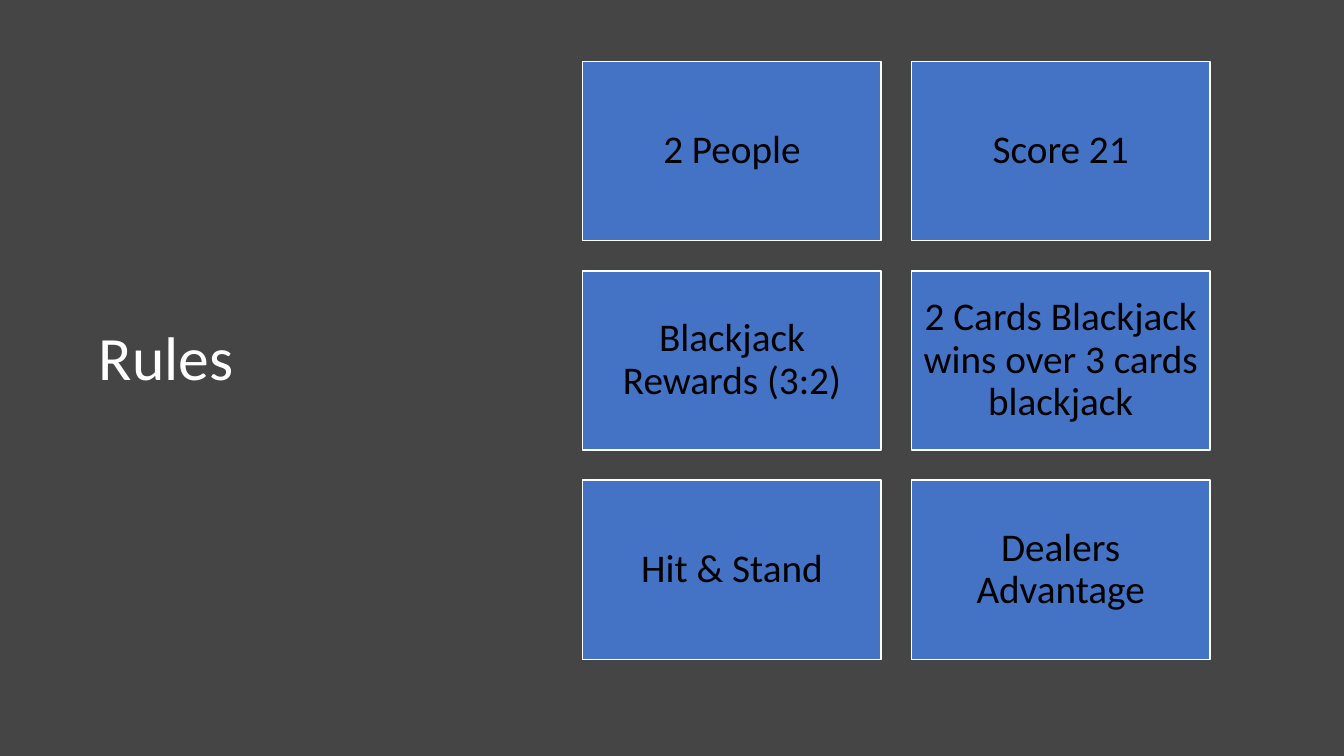
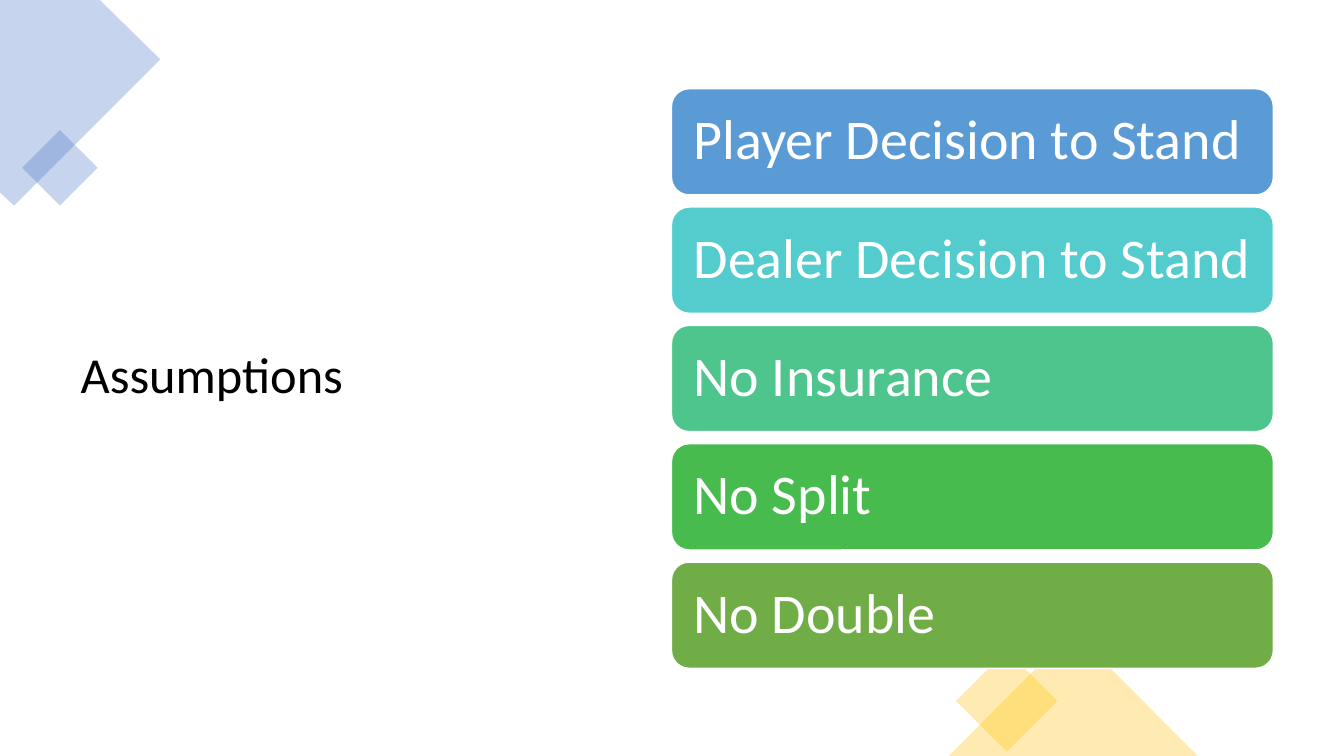
"""Build the two blackjack slides: the rules and the assumptions."""
import dataclasses
import typing

import lxml.etree
import pptx
import pptx.dml.color
import pptx.enum.shapes
import pptx.enum.text
import pptx.oxml.ns
import pptx.presentation
import pptx.shapes.autoshape
import pptx.slide
import pptx.text.text
import pptx.util

Inches = pptx.util.Inches
Shape = pptx.shapes.autoshape.Shape
Slide = pptx.slide.Slide
Align = pptx.enum.text.PP_ALIGN
Preset = pptx.enum.shapes.MSO_SHAPE


@dataclasses.dataclass(frozen=True)
class Theme:
    """Colours, type sizes and line settings shared by the slides."""

    font: str = "Calibri"
    white: str = "FFFFFF"
    black: str = "000000"
    charcoal: str = "454545"
    blue: str = "4472C4"
    gold: str = "FFC000"
    bars: tuple[str, ...] = ("5B9BD5", "54CCCD", "4DC58D", "48BB4F", "70AD47")
    rules_title: int = 44
    assumptions_title: int = 36
    card_text: int = 28
    bar_text: int = 40
    outline: float = 1
    line_spacing: float = 0.9
    decor_opacity: int = 30


class Area(typing.NamedTuple):
    """A rectangle in inches."""

    left: float
    top: float
    width: float
    height: float

    def lengths(self) -> tuple[pptx.util.Length, ...]:
        """Return the four values as slide lengths."""
        return tuple(Inches(value) for value in self)


@dataclasses.dataclass(frozen=True)
class Grid:
    """Equal cells with equal gaps inside an area."""

    area: Area
    columns: int
    rows: int
    gap: float

    def cell(self, index: int) -> Area:
        """Return the cell at an index, counted row by row."""
        row, column = divmod(index, self.columns)
        width = (self.area.width - self.gap * (self.columns - 1)) / self.columns
        height = (self.area.height - self.gap * (self.rows - 1)) / self.rows
        return Area(
            self.area.left + column * (width + self.gap),
            self.area.top + row * (height + self.gap),
            width,
            height,
        )


@dataclasses.dataclass(frozen=True)
class TextStyle:
    """The look of one paragraph."""

    size: int
    color: str
    align: Align = Align.LEFT


@dataclasses.dataclass(frozen=True)
class BoxStyle:
    """The look of a family of labelled boxes."""

    preset: Preset
    fills: tuple[str, ...]
    inset: float
    text: TextStyle


@dataclasses.dataclass(frozen=True)
class Decor:
    """A translucent preset shape."""

    preset: Preset
    area: Area
    color: str
    rotation: float = 0


THEME = Theme()
SLIDE_WIDTH, SLIDE_HEIGHT = 13.33, 7.5
TITLE_ONLY = 5

RULES = (
    "2 People",
    "Score 21",
    "Blackjack Rewards (3:2)",
    "2 Cards Blackjack wins over 3 cards blackjack",
    "Hit & Stand",
    "Dealers Advantage",
)
RULES_GRID = Grid(Area(5.78, 0.61, 6.22, 5.93), columns=2, rows=3, gap=0.3)
CARD = BoxStyle(
    Preset.RECTANGLE,
    (THEME.blue,),
    0.12,
    TextStyle(THEME.card_text, THEME.black, Align.CENTER),
)

ASSUMPTIONS = (
    "Player Decision to Stand",
    "Dealer Decision to Stand",
    "No Insurance",
    "No Split",
    "No Double",
)
ASSUMPTIONS_GRID = Grid(Area(6.66, 0.88, 5.97, 5.75), columns=1, rows=5, gap=0.12)
BAR = BoxStyle(
    Preset.ROUNDED_RECTANGLE,
    THEME.bars,
    0.17,
    TextStyle(THEME.bar_text, THEME.white),
)

CORNER = ((0, 0), (0.99, 0), (1.59, 0.59), (0.14, 2.04), (0, 1.91))
DECORS = (
    Decor(Preset.RECTANGLE, Area(0.33, 1.4, 0.53, 0.53), THEME.blue, 45),
    Decor(Preset.RECTANGLE, Area(9.63, 6.6, 0.71, 0.71), THEME.gold, 45),
    Decor(Preset.ISOSCELES_TRIANGLE, Area(9.41, 6.26, 2.47, 1.24), THEME.gold),
)


def rgb(color: str) -> pptx.dml.color.RGBColor:
    """Turn a hex string into a colour."""
    return pptx.dml.color.RGBColor.from_string(color)


def write(frame: pptx.text.text.TextFrame, text: str, style: TextStyle) -> None:
    """Write one vertically centred paragraph into a frame."""
    frame.word_wrap = True
    frame.auto_size = pptx.enum.text.MSO_AUTO_SIZE.NONE
    frame.vertical_anchor = pptx.enum.text.MSO_ANCHOR.MIDDLE
    para = frame.paragraphs[0]
    para.alignment = style.align
    para.line_spacing = THEME.line_spacing
    span = para.add_run()
    span.text = text
    span.font.name = THEME.font
    span.font.size = pptx.util.Pt(style.size)
    span.font.color.rgb = rgb(style.color)


def add_page(
    deck: pptx.presentation.Presentation,
    background: str,
    title: str,
    area: Area,
    style: TextStyle,
) -> Slide:
    """Add a slide with a background and a placed title."""
    page = deck.slides.add_slide(deck.slide_layouts[TITLE_ONLY])
    page.background.fill.solid()
    page.background.fill.fore_color.rgb = rgb(background)
    box = page.shapes.title
    box.left, box.top, box.width, box.height = area.lengths()
    write(box.text_frame, title, style)
    return page


def paint(shape: Shape, color: str) -> None:
    """Give a shape a flat fill without a shadow."""
    shape.shadow.inherit = False
    shape.fill.solid()
    shape.fill.fore_color.rgb = rgb(color)


def paint_decor(shape: Shape, color: str) -> None:
    """Give a shape a translucent fill without an outline."""
    paint(shape, color)
    shape.line.fill.background()
    qn = pptx.oxml.ns.qn
    fill = shape.element.spPr.find(qn("a:solidFill")).find(qn("a:srgbClr"))
    alpha = lxml.etree.SubElement(fill, qn("a:alpha"))
    alpha.set("val", str(THEME.decor_opacity * 1000))


def add_corner(page: Slide) -> None:
    """Draw the cut diamond in the top left corner."""
    points = [(Inches(x), Inches(y)) for x, y in CORNER]
    builder = page.shapes.build_freeform(*points[0])
    builder.add_line_segments(points[1:], close=True)
    paint_decor(builder.convert_to_shape(), THEME.blue)


def add_decor(page: Slide, decor: Decor) -> None:
    """Draw one translucent preset shape."""
    shape = page.shapes.add_shape(decor.preset, *decor.area.lengths())
    shape.rotation = decor.rotation
    paint_decor(shape, decor.color)


def add_boxes(
    page: Slide, labels: tuple[str, ...], grid: Grid, style: BoxStyle
) -> None:
    """Draw one labelled box in each cell of a grid."""
    for index, label in enumerate(labels):
        box = page.shapes.add_shape(style.preset, *grid.cell(index).lengths())
        paint(box, style.fills[index % len(style.fills)])
        box.line.color.rgb = rgb(THEME.white)
        box.line.width = pptx.util.Pt(THEME.outline)
        frame = box.text_frame
        frame.margin_left = frame.margin_right = Inches(style.inset)
        frame.margin_top = frame.margin_bottom = Inches(style.inset)
        write(frame, label, style.text)


def add_rules(deck: pptx.presentation.Presentation) -> None:
    """Build the slide of rule cards."""
    page = add_page(
        deck,
        THEME.charcoal,
        "Rules",
        Area(0.88, 0.7, 3.59, 5.75),
        TextStyle(THEME.rules_title, THEME.white),
    )
    add_boxes(page, RULES, RULES_GRID, CARD)


def add_assumptions(deck: pptx.presentation.Presentation) -> None:
    """Build the slide of assumption bars."""
    page = add_page(
        deck,
        THEME.white,
        "Assumptions",
        Area(0.7, 0.7, 5.25, 6.09),
        TextStyle(THEME.assumptions_title, THEME.black),
    )
    add_corner(page)
    for decor in DECORS:
        add_decor(page, decor)
    add_boxes(page, ASSUMPTIONS, ASSUMPTIONS_GRID, BAR)


def main() -> None:
    """Build and save the deck."""
    deck = pptx.Presentation()
    deck.slide_width = Inches(SLIDE_WIDTH)
    deck.slide_height = Inches(SLIDE_HEIGHT)
    add_rules(deck)
    add_assumptions(deck)
    deck.save("out.pptx")


if __name__ == "__main__":
    main()
